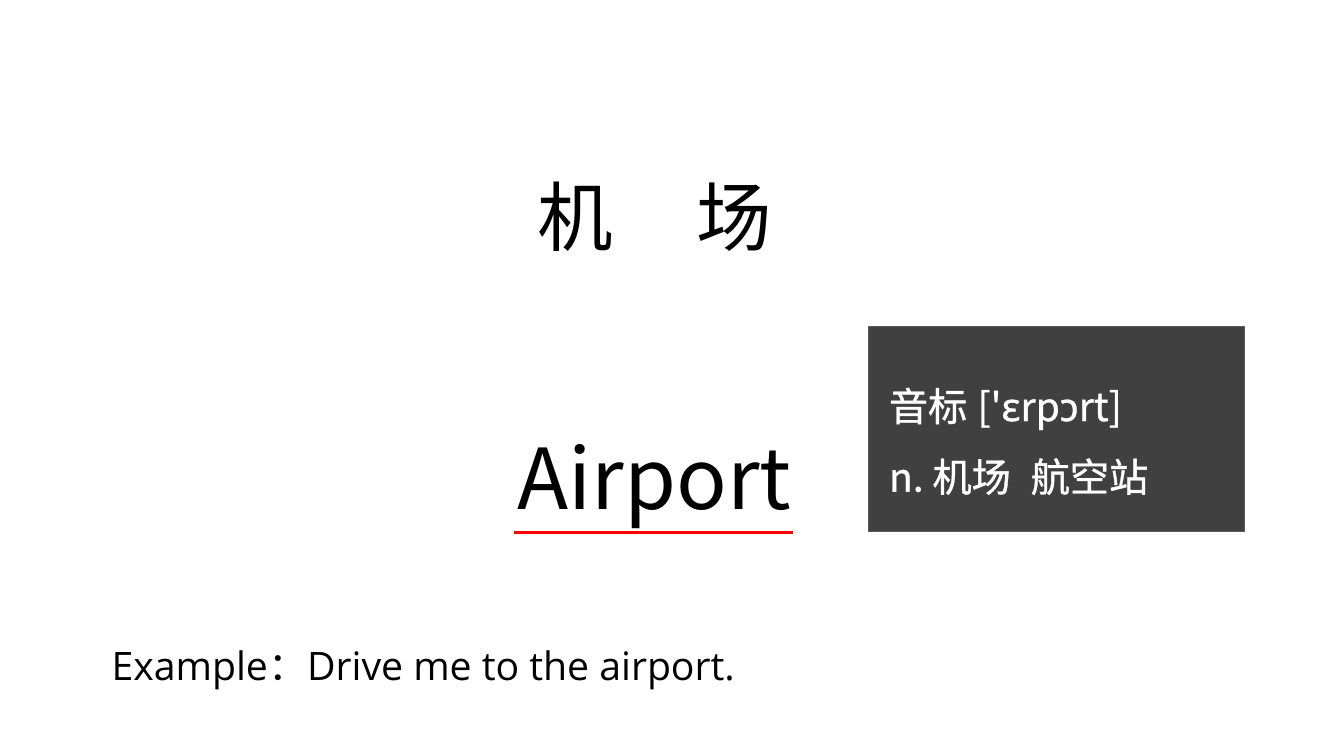
from lxml.etree import SubElement
from pptx import Presentation
from pptx.dml.color import RGBColor
from pptx.enum.shapes import MSO_CONNECTOR, MSO_SHAPE
from pptx.enum.text import MSO_ANCHOR, PP_ALIGN
from pptx.oxml.ns import qn
from pptx.util import Pt

BLACK = RGBColor(0, 0, 0)
WHITE = RGBColor(255, 255, 255)
RED = RGBColor(255, 0, 0)
DARK = RGBColor(0x40, 0x40, 0x40)
GREY = RGBColor(0x59, 0x59, 0x59)
SANS = "Open Sans"
CJK = "Noto Sans CJK TC"


class Card:
    def __init__(self, slide):
        self.slide = slide

    def style(self, run, size, face, color, gap=0):
        """Format a run; gap is extra space after each character."""
        run.font.size = Pt(size)
        run.font.name = face
        run.font.color.rgb = color
        props = run.font._element
        SubElement(props, qn("a:ea")).set("typeface", face)
        if gap:
            props.set("spc", str(round(gap * 100)))

    def fill(self, para, parts, size, color):
        for text, face, gap in parts:
            run = para.add_run()
            run.text = text
            self.style(run, size, face, color, gap)

    def title(self, parts, size, *box):
        shape = self.slide.shapes.title
        self.place(shape, box)
        para = shape.text_frame.paragraphs[0]
        para.alignment = PP_ALIGN.CENTER
        self.fill(para, parts, size, BLACK)

    def place(self, shape, box):
        shape.left, shape.top, shape.width, shape.height = map(Pt, box)
        shape.text_frame.word_wrap = True
        shape.text_frame.vertical_anchor = MSO_ANCHOR.MIDDLE

    def text(self, words, size, face, align, *box):
        shape = self.slide.shapes.add_textbox(*map(Pt, box))
        self.place(shape, box)
        shape.text_frame.text = words
        para = shape.text_frame.paragraphs[0]
        para.alignment = align
        self.style(para.runs[0], size, face, BLACK)

    def rule(self, left, right, y):
        line = self.slide.shapes.add_connector(
            MSO_CONNECTOR.STRAIGHT, Pt(left), Pt(y), Pt(right), Pt(y))
        line.line.color.rgb = RED
        line.line.width = Pt(2.5)
        SubElement(line._element.spPr, qn("a:effectLst"))

    def panel(self, rows, size, *box):
        shape = self.slide.shapes.add_shape(MSO_SHAPE.RECTANGLE, *map(Pt, box))
        shape.shadow.inherit = False
        shape.fill.solid()
        shape.fill.fore_color.rgb = DARK
        shape.line.color.rgb = GREY
        shape.line.width = Pt(1)
        frame = shape.text_frame
        self.place(shape, box)
        frame.margin_left = Pt(14.4)
        for i, parts in enumerate(rows):
            para = frame.add_paragraph() if i else frame.paragraphs[0]
            para.alignment = PP_ALIGN.LEFT
            para.line_spacing = 1.5
            self.fill(para, parts, size, WHITE)
            for run in para.runs:
                self.outline(run, WHITE)

    def outline(self, run, color):
        props = run.font._element
        line = SubElement(props, qn("a:ln"), w=str(Pt(0.75)))
        paint = SubElement(line, qn("a:solidFill"))
        SubElement(paint, qn("a:srgbClr"), val=str(color))
        props.insert(0, line)


def main():
    deck = Presentation()
    deck.slide_width, deck.slide_height = Pt(960), Pt(540)
    card = Card(deck.slides.add_slide(deck.slide_layouts[5]))
    card.title([("机 ", SANS, 23), ("场", SANS, 0)], 54, 296.6, 117.4, 342, 72.7)
    card.text("Airport", 60, CJK, PP_ALIGN.CENTER, 296.6, 300.2, 342, 80)
    card.rule(367.2, 566.6, 380.2)
    card.panel([
        [("音标 ", SANS, 0), ("['ɛrpɔrt]", CJK, 0)],
        [("n. ", CJK, 0), ("机场", SANS, 0), (" ", SANS, 7), ("航空站", SANS, 0)],
    ], 28, 620.6, 233.3, 268.6, 146.2)
    card.text("Example：Drive me to the airport.", 28, SANS, PP_ALIGN.LEFT,
              72.7, 454.3, 794, 41)
    deck.save("out.pptx")


if __name__ == "__main__":
    main()
